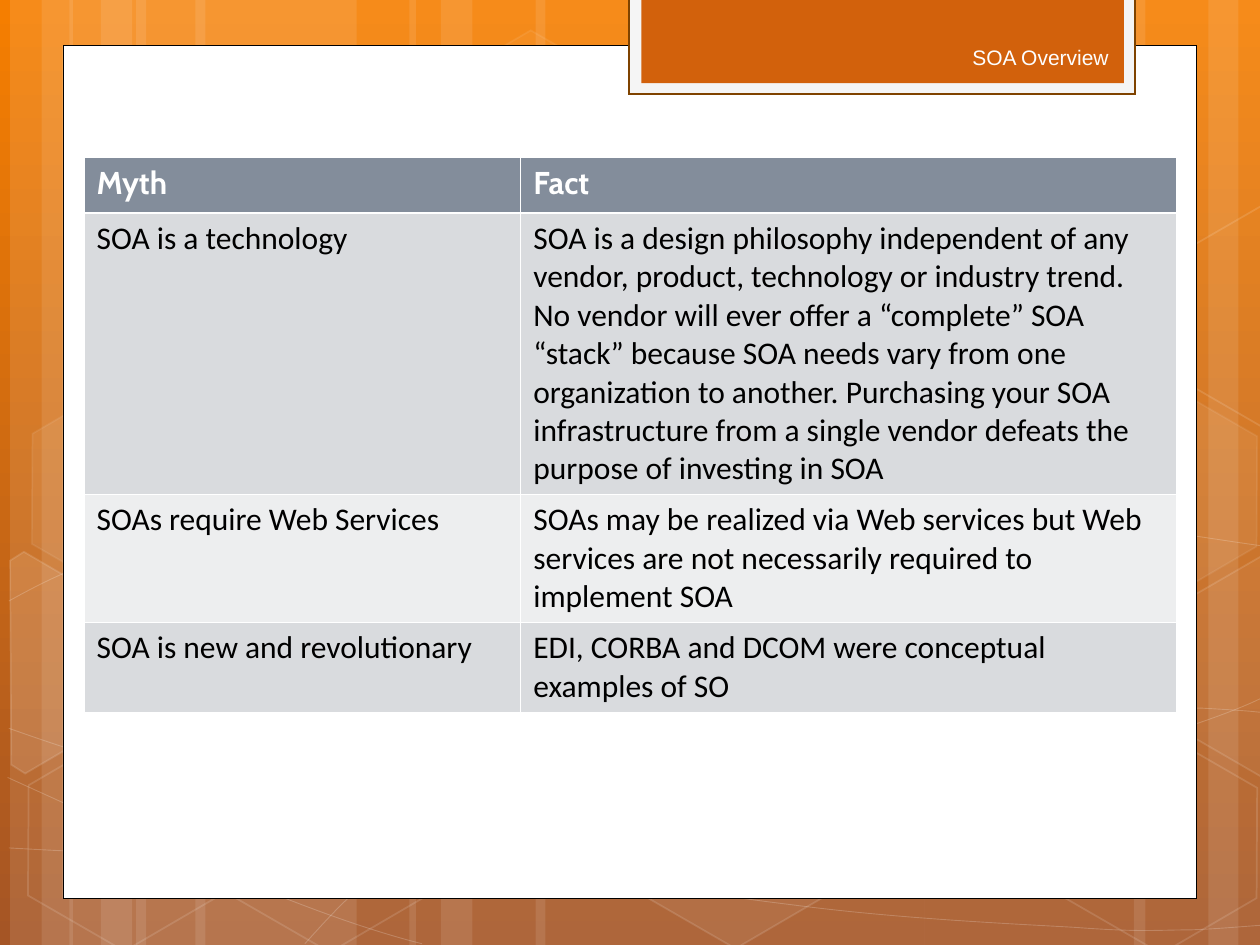
"""Builds the SOA myth and fact slide."""
from lxml.etree import SubElement
from pptx import Presentation
from pptx.dml.color import RGBColor
from pptx.enum.shapes import MSO_SHAPE
from pptx.enum.text import MSO_ANCHOR, MSO_AUTO_SIZE, PP_ALIGN
from pptx.oxml import parse_xml
from pptx.oxml.ns import nsdecls, qn
from pptx.util import Inches, Pt

HEX = {
    "top": "F57E00", "base": "A55525", "white": "FFFFFF", "black": "000000",
    "frame": "F5F5F5", "brown": "7F4300", "tab": "D2610C", "title": "FEFEFE",
    "head": "838D9B", "odd": "D9DBDE", "even": "EDEEEF",
}
RGB = {name: RGBColor.from_string(code) for name, code in HEX.items()}

deck = Presentation()
deck.slide_width, deck.slide_height = Inches(10), Inches(7.5)
unit = deck.slide_width / 10
slide = deck.slides.add_slide(deck.slide_layouts[5])
shapes = slide.shapes


def paint(shape, fill=None, line=None, width=1, clear=(100, 100)):
    """Set fill and line, with their opacity in percent."""
    shape.shadow.inherit = False
    if fill:
        shape.fill.solid()
        shape.fill.fore_color.rgb = RGB[fill]
    else:
        shape.fill.background()
    if line:
        shape.line.color.rgb = RGB[line]
        shape.line.width = Pt(width)
        SubElement(shape.line._ln, qn("a:miter")).set("lim", "800000")
    else:
        shape.line.fill.background()
    props = shape._element.spPr
    for part, share in zip((props, props.find(qn("a:ln"))), clear):
        tone = part.find(qn("a:solidFill") + "/" + qn("a:srgbClr"))
        if tone is not None and share < 100:
            SubElement(tone, qn("a:alpha")).set("val", str(share * 1000))


def place(kind, *box):
    """Add a shape or an outline, measured in grid units."""
    if kind == "free":
        dots, close = box
        dots = [(x * unit, y * unit) for x, y in dots]
        pen = shapes.build_freeform(*dots[0])
        pen.add_line_segments(dots[1:], close=close)
        return pen.convert_to_shape()
    return shapes.add_shape(kind, *[int(size * unit) for size in box])


back = slide.background.fill
back.gradient()
back.gradient_angle = 270
for stop, name in zip(back.gradient_stops, ("top", "base")):
    stop.color.rgb = RGB[name]

bands = [
    (1.08, 1.75), (0.08, 0.5), (0.33, 0.83), (1.55, 1.75), (0.55, 0.5), (0.8, 0.83),
    (7.34, 1.75), (9.59, 0.5), (9, 0.83), (4.25, 3.09), (3.25, 0.5), (3.5, 0.83),
]
for left, width in bands:
    paint(place(MSO_SHAPE.RECTANGLE, left, 0, width, 7.5), "white", clear=(10, 100))

curves = [
    [(0.07, 6.73), (0.61, 6.76), (1.15, 6.79), (1.9, 6.78), (2.65, 6.77), (3.58, 6.75),
     (4.58, 6.65), (5.58, 6.55), (7, 6.36), (7.92, 6.17), (8.83, 5.98), (9.77, 5.68),
     (10.07, 5.51)],
    [(0.07, 4.77), (0.36, 4.61), (0.65, 4.46), (1.21, 4.31), (1.78, 4.16), (2.59, 3.94),
     (3.47, 3.87), (4.36, 3.8), (5.44, 3.79), (6.54, 3.87), (7.64, 3.95), (9.47, 4.26),
     (10.07, 4.34)],
    [(0.06, 6.17), (1.27, 6.72), (2.47, 7.27), (3.35, 7.49)],
    [(0.07, 5.78), (0.38, 5.89), (0.7, 6), (1.28, 6.16), (1.86, 6.31), (2.73, 6.56),
     (3.57, 6.73), (4.4, 6.9), (5.45, 7.08), (6.28, 7.18), (7.11, 7.29), (8, 7.33),
     (8.53, 7.36), (9.06, 7.4), (9.19, 7.38), (9.45, 7.38), (9.71, 7.37), (9.89, 7.35),
     (10.07, 7.34)],
    [(2.42, 7.49), (2.6, 7.29), (2.78, 7.09), (3.02, 6.91), (3.26, 6.72), (3.6, 6.53),
     (3.88, 6.39), (4.16, 6.25), (4.33, 6.19), (4.69, 6.09), (5.06, 5.99), (5.73, 5.85),
     (6.08, 5.78), (6.44, 5.71), (6.49, 5.71), (6.8, 5.69), (7.11, 5.66), (7.6, 5.63),
     (7.94, 5.62), (8.29, 5.61), (8.86, 5.62), (8.86, 5.62), (8.86, 5.62), (9.53, 5.62),
     (9.53, 5.62), (9.71, 5.63), (9.88, 5.64), (9.97, 5.65), (10.06, 5.66), (10.03, 5.65),
     (10.06, 5.66)],
]
for knots in curves:
    curve = place("free", knots, False)
    paint(curve, None, "white", 0.5, (100, 20))
    legs = list(curve._element.iter(qn("a:lnTo")))
    trace = legs[0].getparent()
    for i in range(0, len(legs), 3):
        bend = SubElement(trace, qn("a:cubicBezTo"))
        for leg in legs[i:i + 3]:
            bend.append(leg[0])
            trace.remove(leg)

cells = [
    (3.34, 0.36, 4, 8), (4.96, 5.89, 6, 12), (0.11, 5.91, 0, 12),
    (0.14, 3.12, 7, 8), (1.74, 5.92, 0, 12), (7.53, 4.53, 10, 12),
    (8.34, 5.93, 0, 12), (8.34, 3.14, 7, 8),
]
for left, top, glow, edge in cells:
    cell = place(MSO_SHAPE.HEXAGON, left, top, 1.75, 1.52)
    cell.adjustments[0] = 0.285
    cell.rotation = 30
    paint(cell, "white" if glow else None, "white", 1, (glow, edge))

cuts = [
    (10, [(0.08, 4.45), (0.19, 4.38), (0.96, 4.83), (0.95, 5.7), (0.2, 6.14), (0.09, 6.07)]),
    (4, [(9.26, 4.85), (10.02, 4.41), (10.09, 4.46), (10.09, 6.13), (10.02, 6.17),
         (9.26, 5.73)]),
    (0, [(9.26, 2.07), (10.02, 1.63), (10.1, 1.68), (10.09, 3.35), (10.02, 3.39),
         (9.26, 2.95)]),
]
for glow, dots in cuts:
    paint(place("free", dots, True), "white" if glow else None, "white", 1, (glow, 12))

paint(place(MSO_SHAPE.RECTANGLE, 0.5, 0.36, 9, 6.77), "white", "black", 0.5)
paint(place(MSO_SHAPE.RECTANGLE, 4.99, -0.02, 4.02, 0.77), "frame", "brown", 1.25)
paint(place(MSO_SHAPE.RECTANGLE, 5.09, -0.02, 3.83, 0.68), "tab")

rows = [
    ("Myth", "Fact"),
    ("SOA is a technology",
     "SOA is a design philosophy independent of any vendor, product, technology or industry "
     "trend. No vendor will ever offer a “complete” SOA “stack” because SOA needs vary from "
     "one organization to another. Purchasing your SOA infrastructure from a single vendor "
     "defeats the purpose of investing in SOA"),
    ("SOAs require Web Services",
     "SOAs may be realized via Web services but Web services are not necessarily required "
     "to implement SOA"),
    ("SOA is new and revolutionary", "EDI, CORBA and DCOM were conceptual examples of SO"),
]
tall = (0.44, 2.23, 1.01, 0.7)
span = 26 / 3
wide = (span * 2 / 5, span * 3 / 5)
table = shapes.add_table(
    len(rows), len(wide), *[int(size * unit) for size in (2 / 3, 1.25, span, sum(tall))]
).table
for col, width in zip(table.columns, wide):
    col.width = int(width * unit)
for r, (texts, height) in enumerate(zip(rows, tall)):
    table.rows[r].height = int(height * unit)
    for c, text in enumerate(texts):
        cell = table.cell(r, c)
        cell.text = text
        cell.fill.solid()
        cell.fill.fore_color.rgb = RGB["head" if r == 0 else "odd" if r % 2 else "even"]
        font = cell.text_frame.paragraphs[0].font
        font.size, font.bold = Pt(18), r == 0
        font.name = "Calibri" if r else "Cabin"
        font.color.rgb = RGB["black" if r else "white"]
        for i, side in enumerate("LRTB"):
            thick = (r, side) in ((0, "B"), (1, "T"))
            cell._tc.get_or_add_tcPr().insert(i, parse_xml(
                f'<a:ln{side} {nsdecls("a")} w="{Pt(1.47 if thick else 0.45)}"><a:solidFill>'
                f'<a:srgbClr val="{HEX["white"]}"/></a:solidFill></a:ln{side}>'
            ))

title = shapes.title
shapes._spTree.append(title._element)
title.left, title.top, title.width, title.height = [
    int(size * unit) for size in (6.56, 0.25, 2.34, 0.4)
]
title.text = "SOA Overview"
frame = title.text_frame
frame.auto_size = MSO_AUTO_SIZE.NONE
frame.vertical_anchor = MSO_ANCHOR.MIDDLE
line = frame.paragraphs[0]
line.alignment = PP_ALIGN.RIGHT
line.font.size, line.font.name = Pt(12), "Arial"
line.font.color.rgb = RGB["title"]

deck.save("out.pptx")
